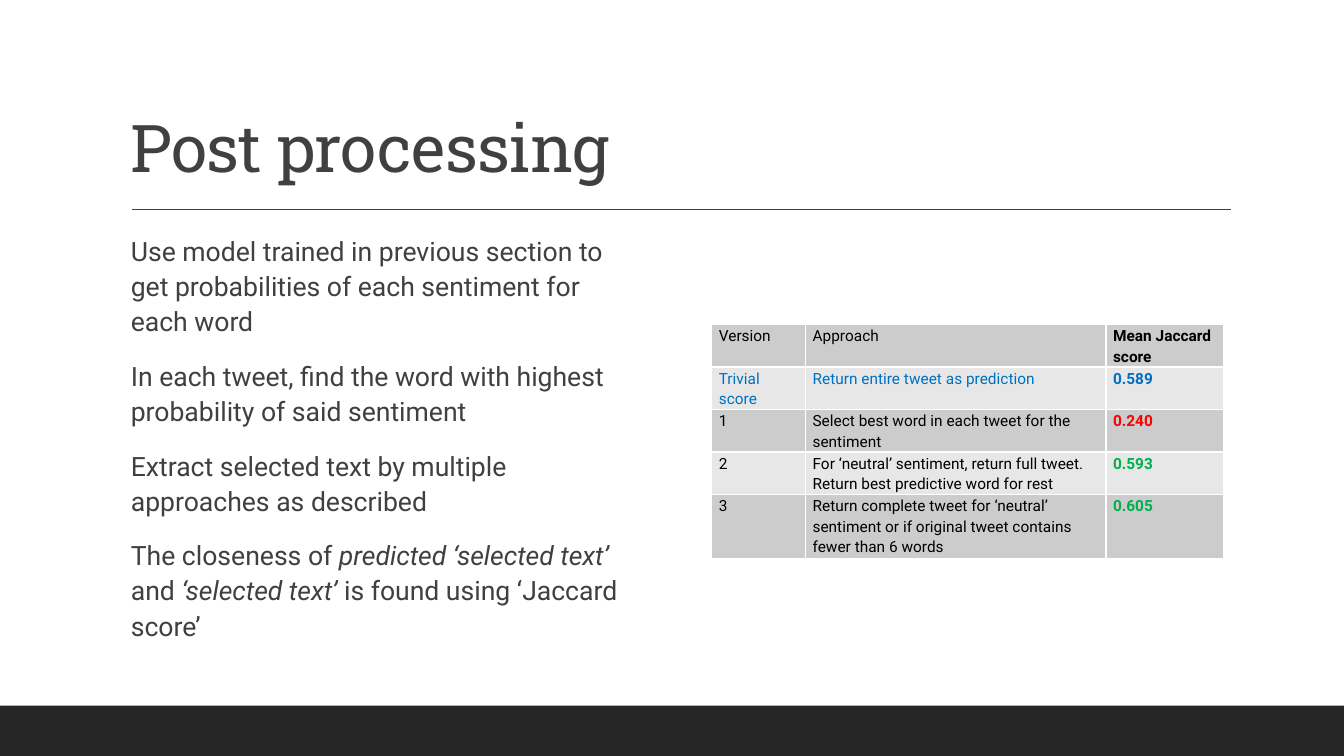
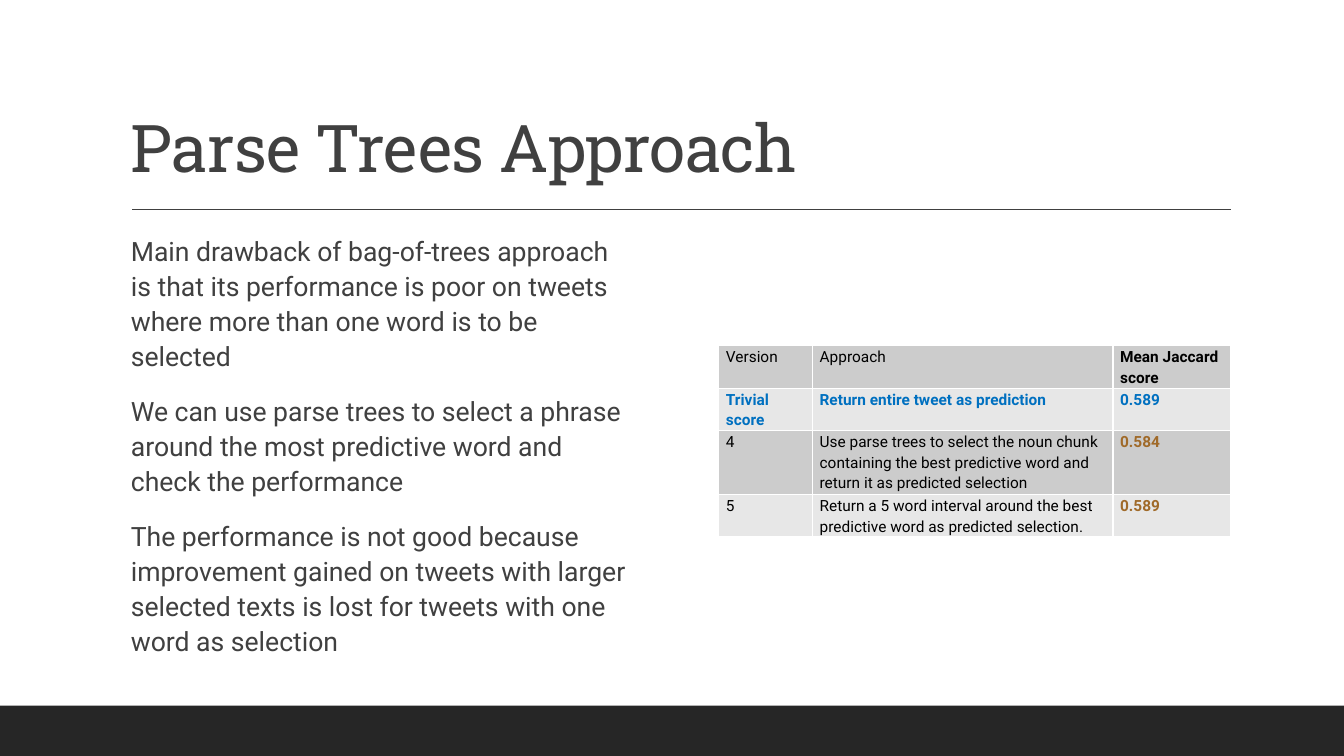
"""Build two slides that each pair explanatory text with a table of Jaccard scores."""
from dataclasses import dataclass

from lxml.etree import SubElement
from pptx import Presentation
from pptx.dml.color import RGBColor
from pptx.enum.shapes import MSO_CONNECTOR, MSO_SHAPE
from pptx.enum.text import MSO_ANCHOR
from pptx.oxml.ns import qn
from pptx.util import Inches, Pt

BLACK = RGBColor(0x00, 0x00, 0x00)
WHITE = RGBColor(0xFF, 0xFF, 0xFF)
INK = RGBColor(0x40, 0x40, 0x40)
BAND = RGBColor(0x26, 0x26, 0x26)
BLUE = RGBColor(0x00, 0x70, 0xC0)
RED = RGBColor(0xFF, 0x00, 0x00)
GREEN = RGBColor(0x00, 0xB0, 0x50)
BROWN = RGBColor(0xA0, 0x6A, 0x29)
ROW_FILLS = (RGBColor(0xCC, 0xCC, 0xCC), RGBColor(0xE7, 0xE7, 0xE7))

TITLE_FONT = "Roboto Slab"
BODY_FONT = "Roboto"
LEFT = 1.2
COLUMN_WIDTHS = (0.93, 2.98, 1.17)
LINE_HEIGHT = 0.2


@dataclass(frozen=True)
class ScoreRow:
    version: str
    approach: str
    score: str
    score_color: RGBColor = BLACK
    color: RGBColor = BLACK
    bold: bool = False
    lines: int = 2


@dataclass(frozen=True)
class SlideContent:
    title: str
    paragraphs: tuple[str, ...]
    table_left: float
    table_top: float
    rows: tuple[ScoreRow, ...]


HEADER = ScoreRow("Version", "Approach", "Mean Jaccard score")


def trivial_row(bold: bool) -> ScoreRow:
    return ScoreRow("Trivial score", "Return entire tweet as prediction", "0.589", BLUE, BLUE, bold)


SLIDES = (
    SlideContent(
        "Post processing",
        (
            "Use model trained in previous section to get probabilities of each sentiment for each word",
            "In each tweet, find the word with highest probability of said sentiment",
            "Extract selected text by multiple approaches as described",
            "The closeness of *predicted ‘selected text’ *and *‘selected text’ *"
            "is found using ‘Jaccard score’",
        ),
        7.06,
        3.22,
        (
            HEADER,
            trivial_row(bold=False),
            ScoreRow("1", "Select best word in each tweet for the sentiment", "0.240", RED),
            ScoreRow("2", "For ‘neutral’ sentiment, return full tweet. "
                     "Return best predictive word for rest", "0.593", GREEN),
            ScoreRow("3", "Return complete tweet for ‘neutral’ sentiment or if original tweet "
                     "contains fewer than 6 words", "0.605", GREEN, lines=3),
        ),
    ),
    SlideContent(
        "Parse Trees Approach",
        (
            "Main drawback of bag-of-trees approach is that its performance is poor on tweets "
            "where more than one word is to be selected",
            "We can use parse trees to select a phrase around the most predictive word "
            "and check the performance",
            "The performance is not good because improvement gained on tweets with larger "
            "selected texts is lost for tweets with one word as selection",
        ),
        7.13,
        3.43,
        (
            HEADER,
            trivial_row(bold=True),
            ScoreRow("4", "Use parse trees to select the noun chunk containing the best predictive "
                     "word and return it as predicted selection", "0.584", BROWN, lines=3),
            ScoreRow("5", "Return a 5 word interval around the best predictive word "
                     "as predicted selection.", "0.589", BROWN),
        ),
    ),
)


def write(p, text: str, *, size: float, font: str = BODY_FONT, color: RGBColor = INK,
          bold: bool = False, line_spacing: float = 1.0, before: float = 0,
          after: float = 0, tracking: float = 0) -> None:
    """Fill a paragraph, setting the parts between asterisks in italics."""
    p.line_spacing = line_spacing
    p.space_before, p.space_after = Pt(before), Pt(after)
    for i, part in enumerate(text.split("*")):
        r = p.add_run()
        r.text = part
        r.font.name, r.font.size = font, Pt(size)
        r.font.bold, r.font.italic = bold, i % 2 == 1
        r.font.color.rgb = color
        if tracking:
            r.font._element.set("spc", str(int(tracking * 100)))


def add_text_frame(s, left: float, top: float, width: float, height: float):
    tf = s.shapes.add_textbox(Inches(left), Inches(top), Inches(width), Inches(height)).text_frame
    tf.word_wrap = True
    return tf


def add_frame(s, title: str) -> None:
    """Draw the footer band, the rule and the title."""
    band = s.shapes.add_shape(MSO_SHAPE.RECTANGLE, 0, Inches(7), Inches(13.33), Inches(0.5))
    band.shadow.inherit = False
    band.fill.solid()
    band.fill.fore_color.rgb = BAND
    band.line.fill.background()

    rule = s.shapes.add_connector(
        MSO_CONNECTOR.STRAIGHT, Inches(1.31), Inches(2.08), Inches(12.21), Inches(2.08))
    rule.line.color.rgb = INK
    rule.line.width = Pt(1)
    SubElement(rule._element.spPr, qn("a:effectLst"))

    tf = add_text_frame(s, LEFT, 0.31, 11, 1.59)
    tf.vertical_anchor = MSO_ANCHOR.BOTTOM
    write(tf.paragraphs[0], title, size=47, font=TITLE_FONT, line_spacing=0.9, tracking=-0.5)


def add_body(s, paragraphs: tuple[str, ...]) -> None:
    tf = add_text_frame(s, LEFT, 2.25, 5.07, 4.17)
    tf.margin_left, tf.margin_right = Inches(0.1), 0
    for i, text in enumerate(paragraphs):
        p = tf.add_paragraph() if i else tf.paragraphs[0]
        write(p, text, size=19, line_spacing=1.1, before=12, after=2)


def add_borders(cell) -> None:
    tc_pr = cell._tc.get_or_add_tcPr()
    for side in ("lnL", "lnR", "lnT", "lnB"):
        ln = SubElement(tc_pr, qn(f"a:{side}"), w=str(Pt(1)))
        fill = SubElement(ln, qn("a:solidFill"))
        SubElement(fill, qn("a:srgbClr"), val=str(WHITE))


def add_score_table(s, left: float, top: float, rows: tuple[ScoreRow, ...]) -> None:
    heights = [row.lines * LINE_HEIGHT for row in rows]
    table = s.shapes.add_table(
        len(rows), len(COLUMN_WIDTHS), Inches(left), Inches(top),
        Inches(sum(COLUMN_WIDTHS)), Inches(sum(heights))).table
    table.first_row = table.horz_banding = False
    for column, width in zip(table.columns, COLUMN_WIDTHS):
        column.width = Inches(width)
    for i, (row, height) in enumerate(zip(rows, heights)):
        table.rows[i].height = Inches(height)
        cells = (
            (row.version, row.color, row.bold),
            (row.approach, row.color, row.bold),
            (row.score, row.score_color, True),
        )
        for j, (text, color, bold) in enumerate(cells):
            cell = table.cell(i, j)
            add_borders(cell)
            cell.fill.solid()
            cell.fill.fore_color.rgb = ROW_FILLS[i % 2]
            cell.margin_left = cell.margin_right = Inches(0.07)
            cell.margin_top = cell.margin_bottom = 0
            write(cell.text_frame.paragraphs[0], text, size=11, color=color, bold=bold,
                  line_spacing=1.15)


def main() -> None:
    prs = Presentation()
    prs.slide_width, prs.slide_height = Inches(13.33), Inches(7.5)
    for content in SLIDES:
        s = prs.slides.add_slide(prs.slide_layouts[6])
        add_frame(s, content.title)
        add_body(s, content.paragraphs)
        add_score_table(s, content.table_left, content.table_top, content.rows)
    prs.save("out.pptx")


if __name__ == "__main__":
    main()
